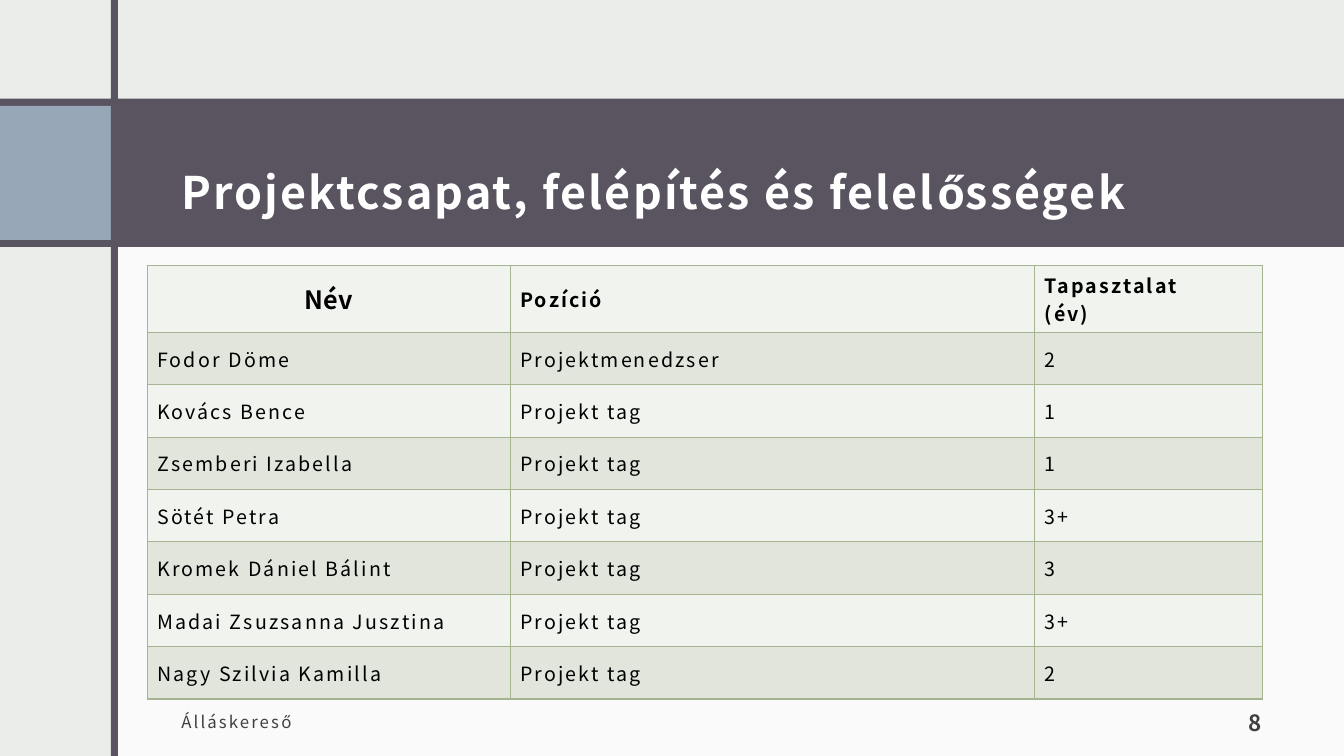
from lxml.etree import SubElement
from pptx import Presentation
from pptx.dml.color import RGBColor
from pptx.enum.shapes import MSO_SHAPE
from pptx.enum.text import MSO_ANCHOR, MSO_AUTO_SIZE, PP_ALIGN
from pptx.oxml.ns import qn
from pptx.util import Pt

PIXEL = 9144
WHITE = RGBColor(0xFF, 0xFF, 0xFF)
BLACK = RGBColor(0x00, 0x00, 0x00)
GREY = RGBColor(0x40, 0x40, 0x40)
PALE = RGBColor(0xEB, 0xED, 0xEB)
PLUM = RGBColor(0x59, 0x54, 0x60)
BLUE = RGBColor(0x97, 0xA7, 0xB8)
GREEN = RGBColor(0xA5, 0xB5, 0x92)
LIGHT_ROW = RGBColor(0xF0, 0xF3, 0xEE)
DARK_ROW = RGBColor(0xE1, 0xE5, 0xDC)

TEAM = [
    ("Név", "Pozíció", "Tapasztalat\n(év)"),
    ("Fodor Döme", "Projektmenedzser", "2"),
    ("Kovács Bence", "Projekt tag", "1"),
    ("Zsemberi Izabella", "Projekt tag", "1"),
    ("Sötét Petra", "Projekt tag", "3+"),
    ("Kromek Dániel Bálint", "Projekt tag", "3"),
    ("Madai Zsuzsanna Jusztina", "Projekt tag", "3+"),
    ("Nagy Szilvia Kamilla", "Projekt tag", "2"),
]


class TeamPage:
    """Draws the elements of one page in a shared style."""

    font_name = "Noto Sans CJK JP"

    def __init__(self, deck):
        self.page = deck.slides.add_slide(deck.slide_layouts[5])
        self.page.background.fill.solid()
        self.page.background.fill.fore_color.rgb = PALE

    def scale(self, *lengths):
        return [length * PIXEL for length in lengths]

    def style(self, frame, size, color, bold=False, align=PP_ALIGN.LEFT, spacing=150):
        for para in frame.paragraphs:
            para.alignment = align
            for span in para.runs:
                span.font.name = self.font_name
                span.font.size = Pt(size)
                span.font.bold = bold
                span.font.color.rgb = color
                properties = span.font._element
                properties.set("spc", str(spacing))
                SubElement(properties, qn("a:ea"), typeface=self.font_name)

    def frame(self, box, text, anchor):
        frame = box.text_frame
        frame.text = text
        frame.word_wrap = True
        frame.auto_size = MSO_AUTO_SIZE.NONE
        frame.vertical_anchor = anchor
        frame.margin_left, frame.margin_top, frame.margin_right, frame.margin_bottom = (
            self.scale(12, 12, 12, 10))
        return frame

    def block(self, area, color, opacity=100):
        box = self.page.shapes.add_shape(MSO_SHAPE.RECTANGLE, *self.scale(*area))
        box.shadow.inherit = False
        box.fill.solid()
        box.fill.fore_color.rgb = color
        box.line.fill.background()
        if opacity < 100:
            paint = box.element.spPr.find(qn("a:solidFill"))[0]
            SubElement(paint, qn("a:alpha"), val=str(opacity * 1000))

    def title(self, area, text):
        box = self.page.shapes.title
        box.element.getparent().append(box.element)
        box.left, box.top, box.width, box.height = self.scale(*area)
        frame = self.frame(box, text, MSO_ANCHOR.BOTTOM)
        frame.paragraphs[0].line_spacing = 1.5
        self.style(frame, 32, WHITE, bold=True)

    def label(self, area, text, size, anchor, **look):
        box = self.page.shapes.add_textbox(*self.scale(*area))
        self.style(self.frame(box, text, anchor), size, GREY, **look)

    def border(self, cell):
        properties = cell._tc.get_or_add_tcPr()
        for index, side in enumerate(("a:lnL", "a:lnR", "a:lnT", "a:lnB")):
            line = properties.makeelement(qn(side), {"w": str(Pt(1))})
            paint = SubElement(line, qn("a:solidFill"))
            SubElement(paint, qn("a:srgbClr"), val=str(GREEN))
            properties.insert(index, line)

    def table(self, left, top, widths, heights, rows):
        area = self.scale(left, top, sum(widths), sum(heights))
        table = self.page.shapes.add_table(len(rows), len(widths), *area).table
        table.horz_banding = False
        for column, width in zip(table.columns, self.scale(*widths)):
            column.width = width
        for row, height in zip(table.rows, self.scale(*heights)):
            row.height = height
        for row_index, texts in enumerate(rows):
            for column_index, text in enumerate(texts):
                cell = table.cell(row_index, column_index)
                cell.text = text
                cell.vertical_anchor = MSO_ANCHOR.MIDDLE
                cell.fill.solid()
                cell.fill.fore_color.rgb = DARK_ROW if row_index % 2 else LIGHT_ROW
                self.border(cell)
                self.style(cell.text_frame, 14, BLACK, bold=row_index == 0)
        self.style(table.cell(0, 0).text_frame, 18, BLACK, True, PP_ALIGN.CENTER, 0)


def main():
    deck = Presentation()
    deck.slide_width, deck.slide_height = 1333 * PIXEL, 750 * PIXEL
    page = TeamPage(deck)
    page.block((114, 233, 1219, 517), WHITE, opacity=75)
    page.block((0, 98, 1333, 147), PLUM)
    page.block((0, 105, 110, 133), BLUE)
    page.block((110, 0, 7, 750), PLUM)
    page.title((168, 105, 1095, 122), "Projektcsapat, felépítés és felelősségek")
    page.table(146, 263, (360, 520, 226), [66] + [52] * 7, TEAM)
    page.label((168, 690, 627, 50), "Álláskereső", 12, MSO_ANCHOR.MIDDLE)
    page.label((1156, 690, 107, 50), "8", 16, MSO_ANCHOR.BOTTOM,
               bold=True, align=PP_ALIGN.RIGHT)
    deck.save("out.pptx")


if __name__ == "__main__":
    main()
